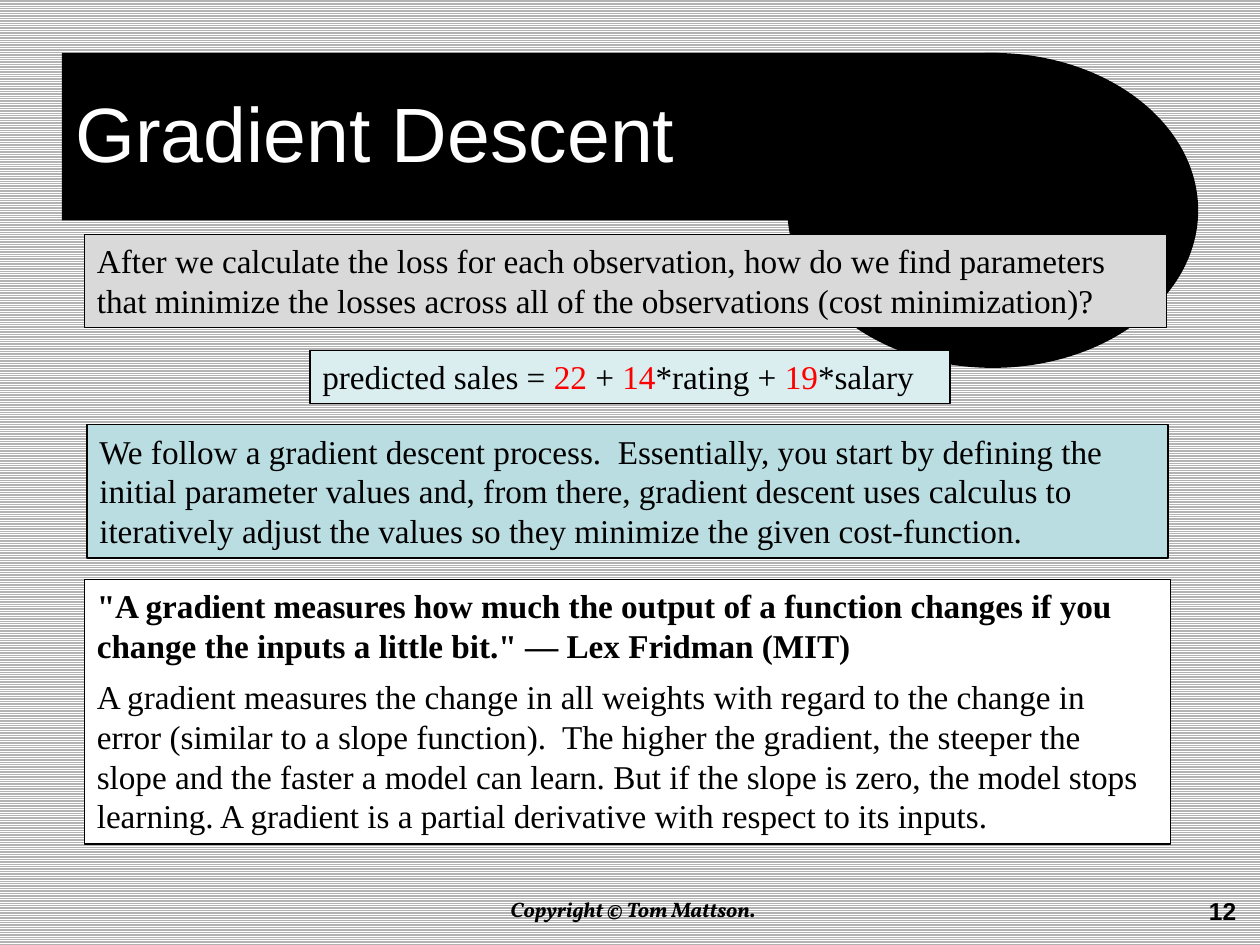
from pptx import Presentation
from pptx.dml.color import RGBColor
from pptx.enum.dml import MSO_PATTERN
from pptx.enum.shapes import MSO_SHAPE as Preset
from pptx.enum.text import MSO_ANCHOR as Anchor, MSO_AUTO_SIZE as AutoSize, PP_ALIGN as Align
from pptx.util import Inches, Pt

WIDTH, HEIGHT = 10, 7.5
BLACK, WHITE, RED = "000000", "FFFFFF", "FF0000"
BODY = dict(font="Times New Roman", size=19)

# Each banner part: preset, (left, top, width, height)
BANNER = [
    (Preset.RECTANGLE, (0.49, 0.42, 7.42, 1.33)),
    (Preset.OVAL, (6.25, 0.42, 3.26, 2.5)),
]

# Each label: text, box, alignment, anchor, run style
LABELS = [
    ("12", (7.56, 7.06, 2.35, 0.33), Align.RIGHT, Anchor.TOP,
     dict(font="Arial", size=14, bold=True)),
    ("Copyright © Tom Mattson. ", (2.5, 7.07, 5.08, 0.3), Align.CENTER, Anchor.TOP,
     dict(font="Vollkorn", size=12, bold=True, italic=True)),
    ("Gradient Descent", (0.5, 0.42, 8.75, 1.25), Align.LEFT, Anchor.MIDDLE,
     dict(font="Arial", size=44, color=WHITE)),
]

# Each panel: fill, box, paragraphs of (text, style changes) runs
PANELS = [
    ("D9D9D9", (0.67, 1.86, 8.59, 0.74), [
        [("After we calculate the loss for each observation, how do we find parameters "
          "that minimize the losses across all of the observations (cost minimization)?", {})],
    ]),
    ("BADDE1", (0.69, 3.37, 8.58, 1.06), [
        [("We follow a gradient descent process.  Essentially, you start by defining the "
          "initial parameter values and, from there, gradient descent uses calculus to "
          "iteratively adjust the values so they minimize the given cost-function.", {})],
    ]),
    (WHITE, (0.67, 4.6, 8.62, 2.1), [
        [('"A gradient measures how much the output of a function changes if you '
          'change the inputs a little bit." — Lex Fridman (MIT)', dict(bold=True))],
        [("A gradient measures the change in all weights with regard to the change in error "
          "(similar to a slope function).  The higher the gradient, the steeper the slope "
          "and the faster a model can learn. But if the slope is zero, the model stops "
          "learning. A gradient is a partial derivative with respect to its inputs.", {})],
    ]),
    ("DAEDEF", (2.46, 2.78, 5.08, 0.42), [
        [("predicted sales = ", {}), ("22", dict(color=RED)), (" + ", {}),
         ("14", dict(color=RED)), ("*rating + ", {}), ("19", dict(color=RED)),
         ("*salary", {})],
    ]),
]
PARAGRAPH_GAP = 6


def rgb(color):
    return RGBColor.from_string(color)


def inches(box):
    return [Inches(length) for length in box]


def add_run(paragraph, text, font, size, color=BLACK, bold=False, italic=False):
    run = paragraph.add_run()
    run.text = text
    run.font.name = font
    run.font.size = Pt(size)
    run.font.bold = bold
    run.font.italic = italic
    run.font.color.rgb = rgb(color)


def add_filled_shape(slide, preset, box, fill, line=None):
    shape = slide.shapes.add_shape(preset, *inches(box))
    shape.shadow.inherit = False
    shape.fill.solid()
    shape.fill.fore_color.rgb = rgb(fill)
    if line:
        shape.line.color.rgb = rgb(line)
        shape.line.width = Pt(0.75)
    else:
        shape.line.fill.background()
    return shape


def add_label(slide, text, box, alignment, anchor, style):
    frame = slide.shapes.add_textbox(*inches(box)).text_frame
    frame.word_wrap = True
    frame.vertical_anchor = anchor
    paragraph = frame.paragraphs[0]
    paragraph.alignment = alignment
    add_run(paragraph, text, **style)


def add_panel(slide, fill, box, paragraphs):
    frame = add_filled_shape(slide, Preset.RECTANGLE, box, fill, BLACK).text_frame
    frame.word_wrap = True
    frame.auto_size = AutoSize.SHAPE_TO_FIT_TEXT
    frame.vertical_anchor = Anchor.TOP
    for index, runs in enumerate(paragraphs):
        paragraph = frame.add_paragraph() if index else frame.paragraphs[0]
        paragraph.alignment = Align.LEFT
        if index < len(paragraphs) - 1:
            paragraph.space_after = Pt(PARAGRAPH_GAP)
        for text, changes in runs:
            add_run(paragraph, text, **BODY, **changes)


def main():
    presentation = Presentation()
    presentation.slide_width, presentation.slide_height = inches((WIDTH, HEIGHT))
    slide = presentation.slides.add_slide(presentation.slide_layouts[6])

    background = slide.background.fill
    background.patterned()
    background.pattern = MSO_PATTERN.NARROW_HORIZONTAL
    background.fore_color.rgb = rgb(WHITE)
    background.back_color.rgb = rgb("B3B3B3")

    for preset, box in BANNER:
        add_filled_shape(slide, preset, box, BLACK)
    for label in LABELS:
        add_label(slide, *label)
    for panel in PANELS:
        add_panel(slide, *panel)

    presentation.save("out.pptx")


if __name__ == "__main__":
    main()
